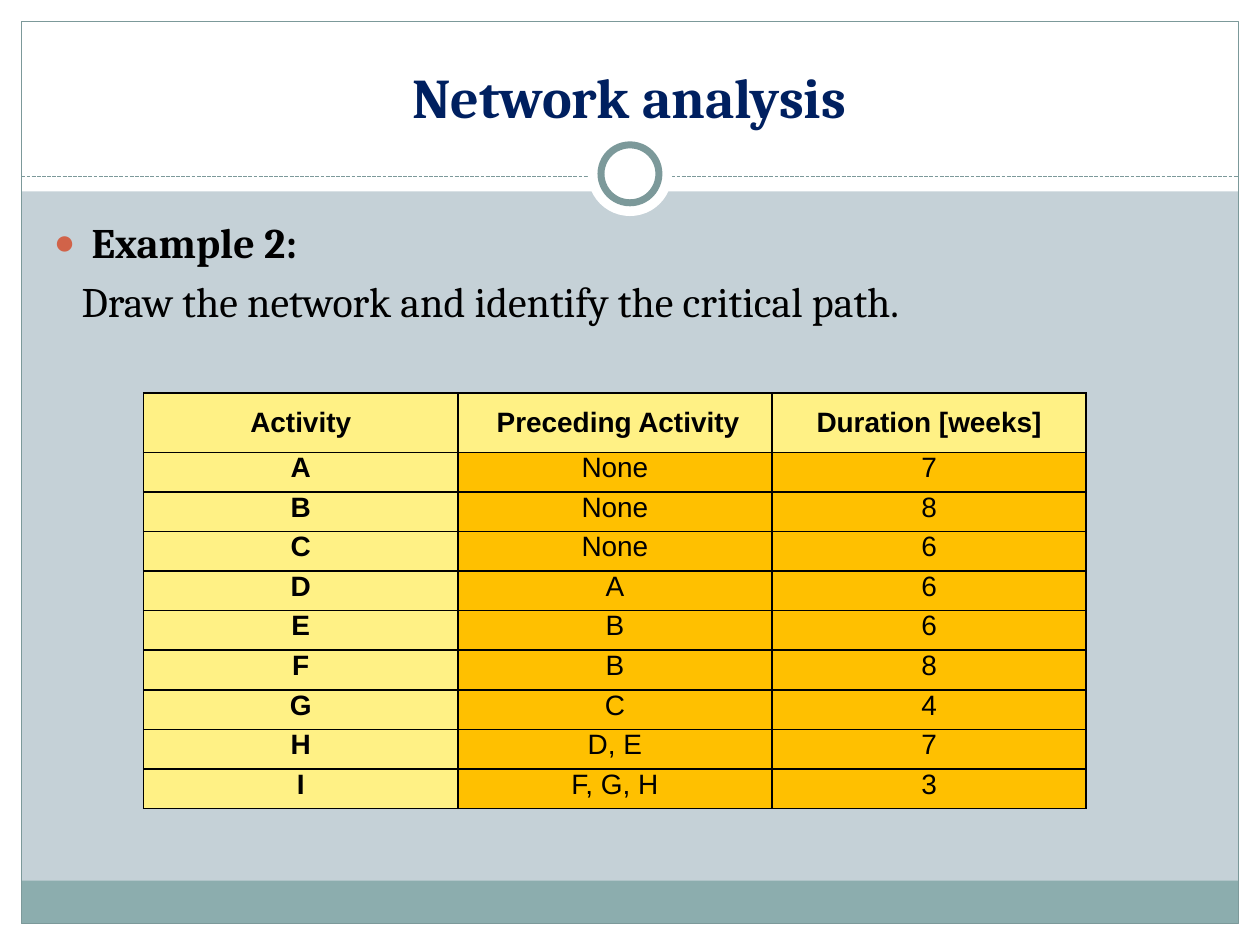
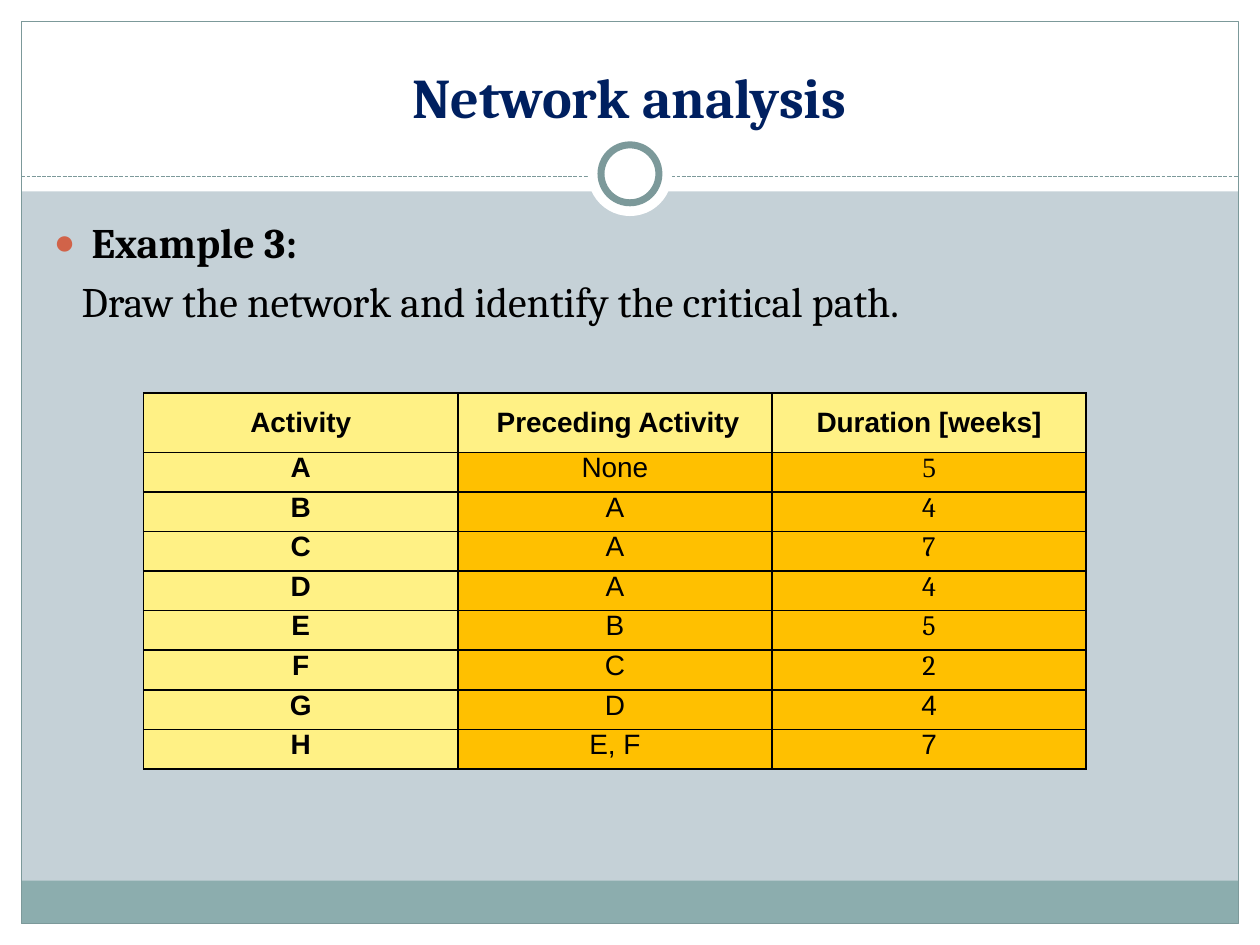
from dataclasses import dataclass

from lxml import etree
from pptx import Presentation
from pptx import util as u
from pptx.dml.color import RGBColor
from pptx.enum import dml, shapes, text
from pptx.oxml import ns

Inches, Pt = u.Inches, u.Pt


@dataclass(frozen=True)
class Theme:
    background: str = "C5D1D7"
    white: str = "FFFFFF"
    black: str = "000000"
    band: str = "8CADAE"
    frame: str = "7C999A"
    title: str = "002060"
    bullet: str = "D16349"
    header_fill: str = "FFF185"
    value_fill: str = "FFC000"
    serif: str = "Cambria"
    sans: str = "Arial"
    roman: str = "Times New Roman"
    title_size: int = 32
    body_size: int = 24
    table_size: int = 16


THEME = Theme()
WIDTH, HEIGHT, MARGIN = 10, 7.5, 0.17
TITLE_BOX = (0.33, 0.25, 9.33, 0.83)
BODY_BOX = (0.33, 1.67, 9.36, 5)
TABLE_BOX = (1.14, 3.12, 7.48)
HEADER_HEIGHT = Inches(0.47)
ROW_HEIGHT = Inches(2.83) // 9
HEADINGS = ("Activity", "Preceding Activity", "Duration [weeks]")
TASK = "Draw the network and identify the critical path."

# Each row: activity, preceding activity, duration, font of the duration
EXAMPLES = {
    "Example 2:": [
        ("A", "None", "7", THEME.sans),
        ("B", "None", "8", THEME.sans),
        ("C", "None", "6", THEME.sans),
        ("D", "A", "6", THEME.sans),
        ("E", "B", "6", THEME.sans),
        ("F", "B", "8", THEME.sans),
        ("G", "C", "4", THEME.sans),
        ("H", "D, E", "7", THEME.sans),
        ("I", "F, G, H", "3", THEME.sans),
    ],
    "Example 3:": [
        ("A", "None", "5", THEME.roman),
        ("B", "A", "4", THEME.serif),
        ("C", "A", "7", THEME.serif),
        ("D", "A", "4", THEME.serif),
        ("E", "B", "5", THEME.serif),
        ("F", "C", "2", THEME.serif),
        ("G", "D", "4", THEME.sans),
        ("H", "E, F", "7", THEME.sans),
    ],
}


def rgb(value):
    return RGBColor.from_string(value)


def add_element(parent, tag, **attributes):
    element = etree.SubElement(parent, ns.qn(tag))
    for name, value in attributes.items():
        element.set(name, str(value))
    return element


def apply(target, values):
    for name, value in values.items():
        setattr(target, name, value)


def write(paragraph, content, size, font, color, bold=False):
    run = paragraph.add_run()
    run.text = content
    apply(run.font, {"size": Pt(size), "name": font, "bold": bold})
    run.font.color.rgb = rgb(color)


def add_figure(slide, kind, box, fill=None, line=None, weight=0.75):
    shape = slide.shapes.add_shape(kind, *map(Inches, box))
    shape.shadow.inherit = False
    if fill:
        shape.fill.solid()
        shape.fill.fore_color.rgb = rgb(fill)
    else:
        shape.fill.background()
    if line:
        shape.line.color.rgb = rgb(line)
        shape.line.width = Pt(weight)
    else:
        shape.line.fill.background()


def add_text_box(slide, box, anchor):
    frame = slide.shapes.add_textbox(*map(Inches, box)).text_frame
    apply(frame, {"word_wrap": True, "vertical_anchor": anchor})
    return frame


def add_backdrop(slide):
    """White margins, bottom band, frame, dashed rule and ring."""
    slide.background.fill.solid()
    slide.background.fill.fore_color.rgb = rgb(THEME.background)
    rectangle, oval = shapes.MSO_SHAPE.RECTANGLE, shapes.MSO_SHAPE.OVAL
    right, bottom = WIDTH - MARGIN, HEIGHT - MARGIN
    inner = WIDTH - 2 * MARGIN

    # White margins, the top one holding the title
    for box in (
        (0, bottom, WIDTH, MARGIN),
        (0, 0, WIDTH, 1.52),
        (0, 0, MARGIN, HEIGHT),
        (right, 0, MARGIN, HEIGHT),
    ):
        add_figure(slide, rectangle, box, THEME.white)

    # Bottom band and frame
    add_figure(slide, rectangle, (MARGIN, 6.99, inner, 0.34), THEME.band)
    add_figure(slide, rectangle, (MARGIN, MARGIN, inner, bottom - MARGIN),
               line=THEME.frame)

    # Dashed rule
    rule = slide.shapes.add_connector(
        shapes.MSO_CONNECTOR.STRAIGHT,
        *map(Inches, (MARGIN, 1.4, right, 1.4)))
    rule.line.color.rgb = rgb(THEME.frame)
    apply(rule.line, {"width": Pt(0.75),
                      "dash_style": dml.MSO_LINE.SQUARE_DOT})
    add_element(rule.element.spPr, "a:effectLst")

    # Ring on a white disc
    for size, line in ((0.67, None), (0.46, THEME.frame)):
        box = (WIDTH / 2 - size / 2, 1.38 - size / 2, size, size)
        add_figure(slide, oval, box, THEME.white, line, 4)


def add_title(slide, box, content):
    frame = add_text_box(slide, box, text.MSO_ANCHOR.BOTTOM)
    paragraph = frame.paragraphs[0]
    paragraph.alignment = text.PP_ALIGN.CENTER
    write(paragraph, content, THEME.title_size, THEME.serif, THEME.title, True)


def add_body(slide, box, heading, task):
    """Bulleted heading with the task below it."""
    frame = add_text_box(slide, box, text.MSO_ANCHOR.TOP)
    lines = ((frame.paragraphs[0], heading, True, 0.3, -0.3),
             (frame.add_paragraph(), task, False, 0.22, 0))
    for paragraph, content, is_heading, left, hanging in lines:
        paragraph.space_before = Pt(THEME.body_size * 0.2)
        properties = paragraph._p.get_or_add_pPr()
        properties.set("marL", str(Inches(left)))
        properties.set("indent", str(Inches(hanging)))
        if is_heading:
            color = add_element(properties, "a:buClr")
            add_element(color, "a:srgbClr", val=THEME.bullet)
            add_element(properties, "a:buSzPct", val=85000)
            add_element(properties, "a:buFont", typeface=THEME.sans)
            add_element(properties, "a:buChar", char="●")
        write(paragraph, content, THEME.body_size, THEME.serif, THEME.black,
              is_heading)


def format_cell(cell, content, font, is_heading, is_label):
    apply(cell, {
        "margin_left": Inches(0.05), "margin_right": Inches(0.05),
        "margin_top": 0, "margin_bottom": 0,
        "vertical_anchor": (text.MSO_ANCHOR.MIDDLE if is_heading
                            else text.MSO_ANCHOR.TOP),
    })
    properties = cell._tc.get_or_add_tcPr()
    for side in ("a:lnL", "a:lnR", "a:lnT", "a:lnB"):
        border = add_element(properties, side, w=Pt(1))
        fill = add_element(border, "a:solidFill")
        add_element(fill, "a:srgbClr", val=THEME.black)
    cell.fill.solid()
    cell.fill.fore_color.rgb = rgb(
        THEME.header_fill if is_label else THEME.value_fill)
    paragraph = cell.text_frame.paragraphs[0]
    paragraph.alignment = text.PP_ALIGN.CENTER
    if content == HEADINGS[1]:
        paragraph._p.get_or_add_pPr().set("indent", str(Inches(0.05)))
    write(paragraph, content, THEME.table_size, font, THEME.black, is_label)


def add_activity_table(slide, box, activities):
    left, top, width = map(Inches, box)
    rows = [(*HEADINGS, THEME.sans), *activities]
    height = HEADER_HEIGHT + ROW_HEIGHT * len(activities)
    table = slide.shapes.add_table(
        len(rows), len(HEADINGS), left, top, width, height).table
    apply(table, {"first_row": False, "horz_banding": False})
    for column in table.columns:
        column.width = width // len(HEADINGS)
    for row_index, (*values, duration_font) in enumerate(rows):
        is_heading = row_index == 0
        table.rows[row_index].height = (
            HEADER_HEIGHT if is_heading else ROW_HEIGHT)
        fonts = (THEME.sans, THEME.sans, duration_font)
        for column_index, (value, font) in enumerate(zip(values, fonts)):
            format_cell(table.cell(row_index, column_index), value, font,
                        is_heading, is_heading or column_index == 0)


def add_example_slide(presentation, heading, activities):
    slide = presentation.slides.add_slide(presentation.slide_layouts[6])
    add_backdrop(slide)
    add_title(slide, TITLE_BOX, "Network analysis")
    add_body(slide, BODY_BOX, heading, TASK)
    add_activity_table(slide, TABLE_BOX, activities)


presentation = Presentation()
apply(presentation, {"slide_width": Inches(WIDTH),
                     "slide_height": Inches(HEIGHT)})
for heading, activities in EXAMPLES.items():
    add_example_slide(presentation, heading, activities)
presentation.save("out.pptx")
